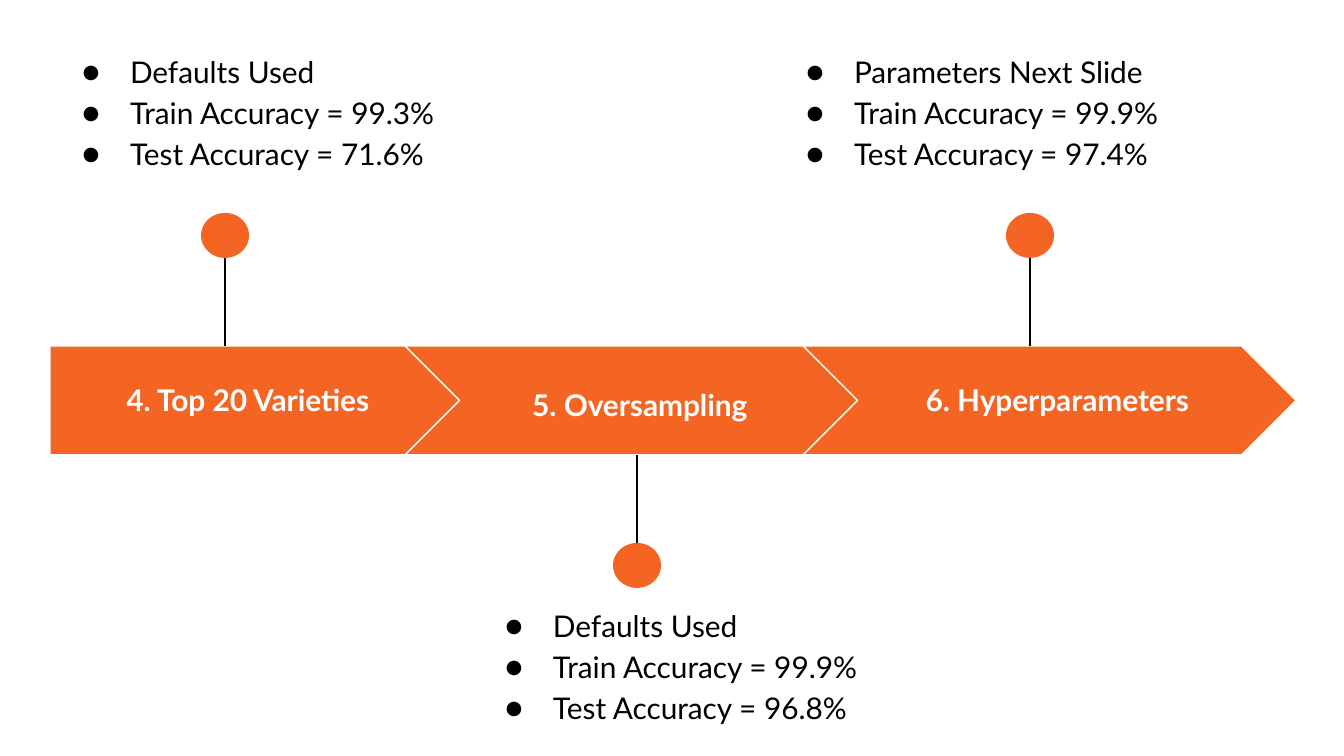
from dataclasses import dataclass

import pptx
import pptx.dml.color
import pptx.enum.shapes
import pptx.enum.text
import pptx.oxml
import pptx.oxml.ns
import pptx.util

PX = 914400 / 134.4
SHAPE = pptx.enum.shapes.MSO_SHAPE
ANCHOR = pptx.enum.text.MSO_ANCHOR
ALIGN = pptx.enum.text.PP_ALIGN


@dataclass(frozen=True)
class Theme:
    orange: str = "F46524"
    white: str = "FFFFFF"
    black: str = "000000"
    font: str = "Lato"
    text_size: int = 16
    line_width: float = 0.75


@dataclass(frozen=True)
class Box:
    x: int
    y: int
    w: int
    h: int


@dataclass(frozen=True)
class Stage:
    name: str
    geometry: SHAPE
    arrow: Box
    label: Box
    details: Box
    placeholder: int
    lines: tuple[str, ...]
    pin_x: int
    pin_y: int


THEME = Theme()
BAND_TOP, BAND_HEIGHT = 346, 109
BAND_BOTTOM = BAND_TOP + BAND_HEIGHT
PIN_W, PIN_H = 48, 45
INSET, TEXT_INDENT, BULLET_HANG = 13, 67, 48

STAGES = (
    Stage("4. Top 20 Varieties", SHAPE.PENTAGON,
          Box(50, BAND_TOP, 450, BAND_HEIGHT), Box(90, 370, 316, 59),
          Box(50, 35, 434, 171), 1,
          ("Defaults Used", "Train Accuracy = 99.3%", "Test Accuracy = 71.6%"),
          225, 213),
    Stage("5. Oversampling", SHAPE.CHEVRON,
          Box(405, BAND_TOP, 493, BAND_HEIGHT), Box(482, 375, 316, 59),
          Box(473, 589, 450, 133), 2,
          ("Defaults Used", "Train Accuracy = 99.9%", "Test Accuracy = 96.8%"),
          637, 543),
    Stage("6. Hyperparameters", SHAPE.CHEVRON,
          Box(803, BAND_TOP, 493, BAND_HEIGHT), Box(866, 370, 383, 59),
          Box(774, 35, 422, 133), 3,
          ("Parameters Next Slide", "Train Accuracy = 99.9%", "Test Accuracy = 97.4%"),
          1030, 213),
)


def px(n: int) -> pptx.util.Emu:
    return pptx.util.Emu(round(n * PX))


def rgb(color: str) -> pptx.dml.color.RGBColor:
    return pptx.dml.color.RGBColor.from_string(color)


def bounds(box: Box) -> tuple[pptx.util.Emu, ...]:
    return px(box.x), px(box.y), px(box.w), px(box.h)


def add_filled(s, geometry: SHAPE, box: Box, outline: str | None = None) -> None:
    sp = s.shapes.add_shape(geometry, *bounds(box))
    sp.shadow.inherit = False
    sp.fill.solid()
    sp.fill.fore_color.rgb = rgb(THEME.orange)
    if outline:
        sp.line.color.rgb = rgb(outline)
        sp.line.width = pptx.util.Pt(THEME.line_width)
    else:
        sp.line.fill.background()


def add_pin(s, stage: Stage) -> None:
    band_edge = BAND_TOP if stage.pin_y < BAND_TOP else BAND_BOTTOM
    line = s.shapes.add_connector(
        pptx.enum.shapes.MSO_CONNECTOR.STRAIGHT,
        px(stage.pin_x), px(stage.pin_y + PIN_H // 2), px(stage.pin_x), px(band_edge))
    line.line.color.rgb = rgb(THEME.black)
    line.line.width = pptx.util.Pt(THEME.line_width)
    pptx.oxml.ns.qn("a:effectLst")
    line._element.spPr.append(pptx.oxml.parse_xml(
        f'<a:effectLst {pptx.oxml.ns.nsdecls("a")}/>'))
    add_filled(s, SHAPE.OVAL, Box(stage.pin_x - PIN_W // 2, stage.pin_y, PIN_W, PIN_H))


def prepare_frame(tf, anchor: ANCHOR) -> None:
    tf.word_wrap = True
    tf.auto_size = pptx.enum.text.MSO_AUTO_SIZE.NONE
    tf.vertical_anchor = anchor
    tf.margin_left = tf.margin_right = tf.margin_top = tf.margin_bottom = px(INSET)


def add_run(p, text: str, color: str, bold: bool) -> None:
    r = p.add_run()
    r.text = text
    r.font.name = THEME.font
    r.font.size = pptx.util.Pt(THEME.text_size)
    r.font.bold = bold
    r.font.color.rgb = rgb(color)


def set_bullet(p) -> None:
    pPr = p._p.get_or_add_pPr()
    pPr.set("marL", str(px(TEXT_INDENT)))
    pPr.set("indent", str(-px(BULLET_HANG)))
    ns = pptx.oxml.ns.nsdecls("a")
    for xml in (
        f'<a:buClr {ns}><a:srgbClr val="{THEME.black}"/></a:buClr>',
        f'<a:buFont {ns} typeface="{THEME.font}"/>',
        f'<a:buChar {ns} char="●"/>',
    ):
        pPr.append(pptx.oxml.parse_xml(xml))


def fill_details(s, stage: Stage) -> None:
    sp = s.placeholders[stage.placeholder]
    sp.left, sp.top, sp.width, sp.height = bounds(stage.details)
    tf = sp.text_frame
    prepare_frame(tf, ANCHOR.TOP)
    for i, text in enumerate(stage.lines):
        p = tf.add_paragraph() if i else tf.paragraphs[0]
        p.alignment = ALIGN.LEFT
        p.line_spacing = 1.15
        p.space_before = p.space_after = pptx.util.Pt(0)
        set_bullet(p)
        add_run(p, text, THEME.black, False)


def add_label(s, stage: Stage) -> None:
    tf = s.shapes.add_textbox(*bounds(stage.label)).text_frame
    prepare_frame(tf, ANCHOR.MIDDLE)
    p = tf.paragraphs[0]
    p.alignment = ALIGN.CENTER
    add_run(p, stage.name, THEME.white, True)


def main() -> None:
    prs = pptx.Presentation()
    prs.slide_width, prs.slide_height = px(1344), px(756)
    s = prs.slides.add_slide(prs.slide_layouts.get_by_name("Comparison"))
    s.background.fill.solid()
    s.background.fill.fore_color.rgb = rgb(THEME.white)
    used = {stage.placeholder for stage in STAGES}
    for sp in list(s.placeholders):
        if sp.placeholder_format.idx not in used:
            sp.element.getparent().remove(sp.element)
    for stage in STAGES:
        add_filled(s, stage.geometry, stage.arrow, THEME.white)
    for stage in STAGES:
        add_pin(s, stage)
        fill_details(s, stage)
        add_label(s, stage)
    prs.save("out.pptx")


if __name__ == "__main__":
    main()
